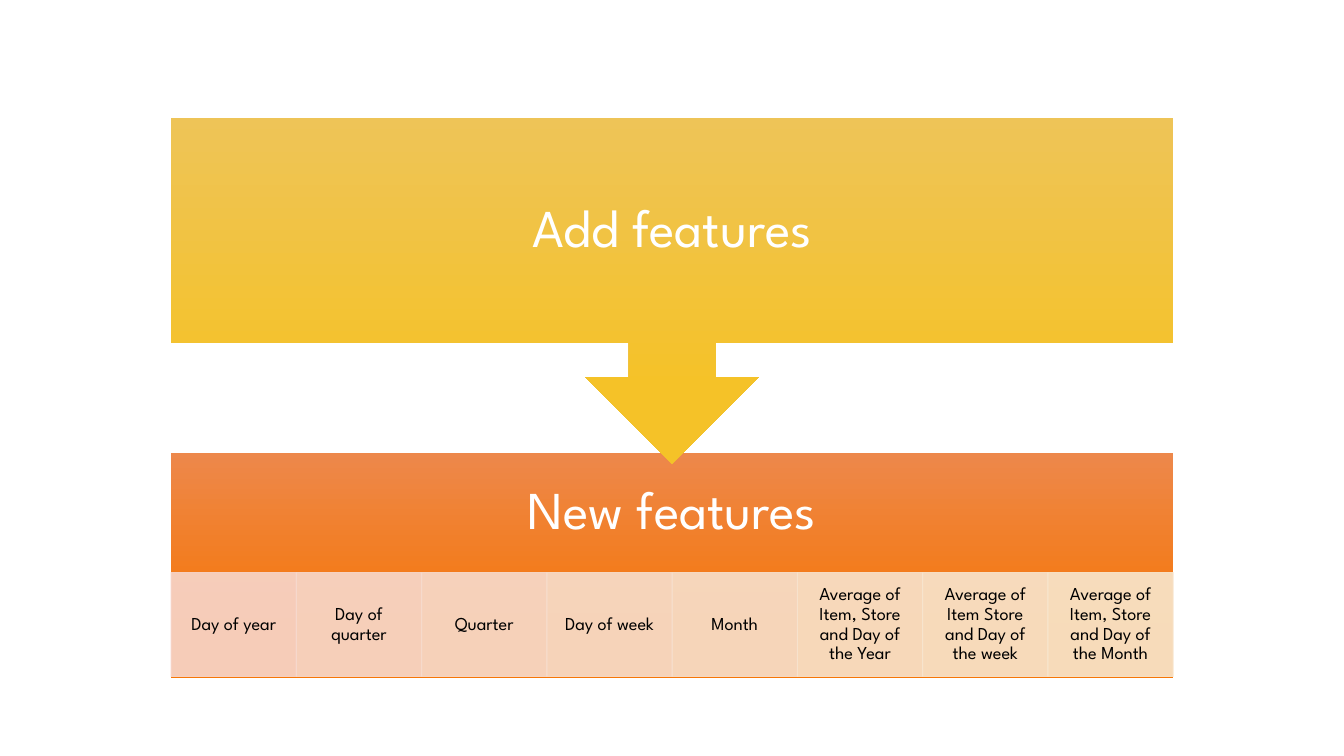
from lxml.etree import SubElement
from pptx import Presentation
from pptx.dml.color import RGBColor
from pptx.enum.shapes import MSO_SHAPE as Shape
from pptx.enum.text import MSO_ANCHOR as Anchor, PP_ALIGN as Align
from pptx.oxml.ns import qn
from pptx.util import Pt

FONT = "League Spartan"
COLOURS = {
    "white": "FFFFFF", "black": "000000",
    "yellow_top": "EEC457", "yellow": "F5C228",
    "orange_top": "ED884B", "orange": "F67607",
}
FEATURES = {
    "F7D6CC": "Day of year",
    "F7D9CD": "Day of quarter",
    "F7DBCD": "Quarter",
    "F7DECD": "Day of week",
    "F7E0CD": "Month",
    "F8E3CD": "Average of Item, Store and Day of the Year",
    "F8E5CE": "Average of Item Store and Day of the week",
    "F8E7CE": "Average of Item, Store and Day of the Month",
}


def add_block(page, kind, box, text, size, colour, insets):
    """Add a shape with centred text; insets run left, top, right, bottom."""
    block = page.shapes.add_shape(kind, *(Pt(value) for value in box))
    block.shadow.inherit = False
    block.line.fill.background()
    frame = block.text_frame
    frame.word_wrap = True
    frame.vertical_anchor = Anchor.MIDDLE
    (frame.margin_left, frame.margin_top,
     frame.margin_right, frame.margin_bottom) = (Pt(value) for value in insets)
    frame.text = text
    para = frame.paragraphs[0]
    para.alignment = Align.CENTER
    para.line_spacing = 0.9
    font = para.runs[0].font
    font.name, font.size = FONT, Pt(size)
    font.color.rgb = RGBColor.from_string(COLOURS[colour])
    return block


def fill_gradient(block, top, bottom):
    block.fill.gradient()
    block.fill.gradient_angle = 270
    for stop, name, position in zip(block.fill.gradient_stops, (top, bottom), (0, 0.78)):
        stop.color.rgb = RGBColor.from_string(COLOURS[name])
        stop.position = position


def fill_translucent(block, colour):
    """Give fill and outline the same colour at 90 % opacity."""
    block.fill.solid()
    block.line.width = Pt(0.75)
    for paint in (block.fill, block.line.fill):
        paint.solid()
        paint.fore_color.rgb = RGBColor.from_string(colour)
    for tint in block._element.spPr.iter(qn("a:srgbClr")):
        SubElement(tint, qn("a:alpha"), val="90000")


def add_feature_row(page, box):
    left, top, width, height = box
    step = width / len(FEATURES)
    for index, (colour, text) in enumerate(FEATURES.items()):
        cell_box = (left + index * step, top, step, height)
        cell = add_block(page, Shape.RECTANGLE, cell_box, text, 13, "black",
                         (7.2, 1.4, 7.2, 1.4))
        fill_translucent(cell, colour)


def add_result_panel(page, box):
    left, top, width, height = box
    header, row = 85.6, 74.2
    panel = add_block(page, Shape.RECTANGLE, box, "New features", 38, "white",
                      (21.6, 21.6, 21.6, 21.6 + height - header))
    fill_gradient(panel, "orange_top", "orange")
    add_feature_row(page, (left, top + header, width, row))


def add_step_callout(page, box):
    callout = add_block(page, Shape.DOWN_ARROW_CALLOUT, box, "Add features", 38,
                        "white", (21.6,) * 4)
    fill_gradient(callout, "yellow_top", "yellow")


def main():
    deck = Presentation()
    deck.slide_width, deck.slide_height = Pt(960), Pt(540)
    page = deck.slides.add_slide(deck.slide_layouts[6])
    left, width = 122.2, 715.8
    # The callout comes last so that its arrow tip overlaps the panel
    add_result_panel(page, (left, 323.4, width, 160.6))
    add_step_callout(page, (left, 84.2, width, 247))
    deck.save("out.pptx")


if __name__ == "__main__":
    main()
